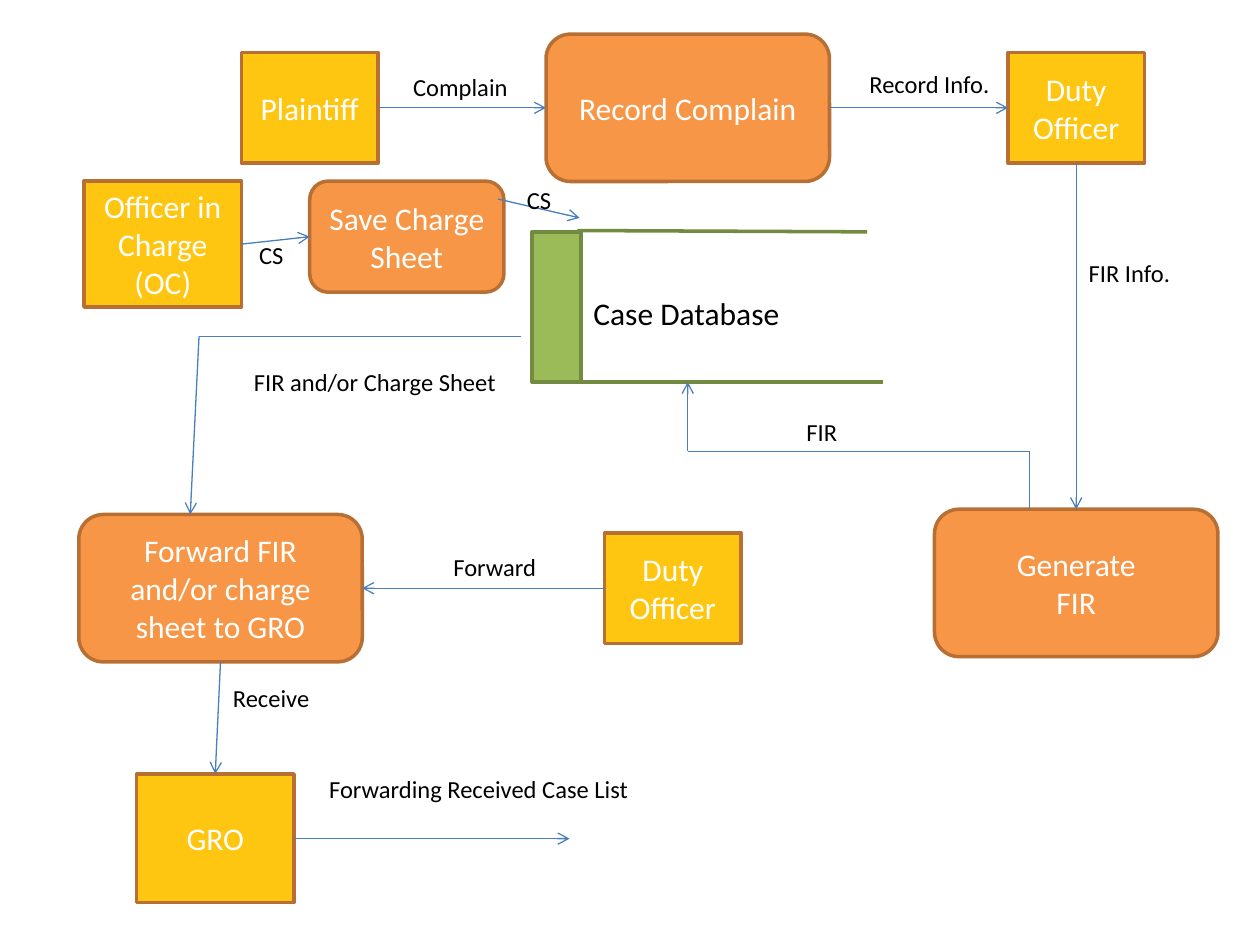
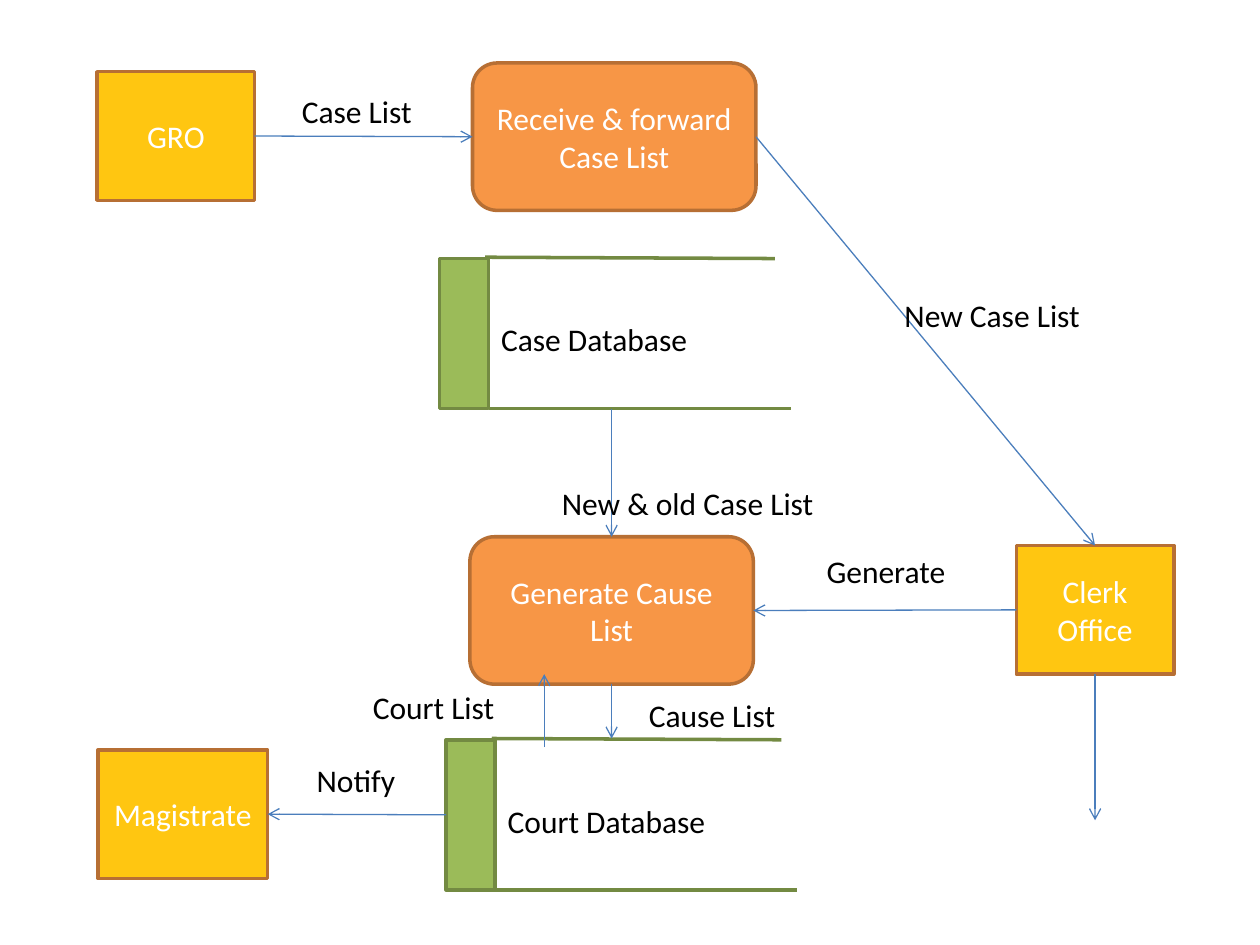
"""Build two data flow diagrams of a criminal case, from complaint to court."""
from dataclasses import dataclass
from enum import IntEnum
from itertools import pairwise

from lxml.etree import SubElement
from pptx import Presentation
from pptx.dml.color import RGBColor
from pptx.enum.shapes import MSO_CONNECTOR, MSO_SHAPE
from pptx.enum.text import MSO_ANCHOR, MSO_AUTO_SIZE, PP_ALIGN
from pptx.oxml.ns import qn
from pptx.util import Pt


@dataclass(frozen=True)
class Theme:
    """Colours, type sizes and line widths of the diagrams."""
    font: str = "Calibri"
    body_size: float = 18
    small_size: float = 14
    text: str = "000000"
    box_text: str = "FFFFFF"
    entity: str = "FFC611"
    process: str = "F79646"
    box_line: str = "B76F34"
    store: str = "9BBB59"
    store_line: str = "738A42"
    flow: str = "4B7EBC"
    heavy: float = 2
    thin: float = 0.75


class Side(IntEnum):
    """Connection sites of rectangles and rounded rectangles."""
    TOP = 0
    LEFT = 1
    BOTTOM = 2
    RIGHT = 3


THEME = Theme()
PROCESS_SIZE = (162, 84.25)
OFFICER_SIZE = (78, 63.25)
OFFICE_SIZE = (90, 73.5)


def write(frame, text, size, color, alignment):
    """Write each line of the text as a paragraph with one run."""
    for number, line in enumerate(text.split("\n")):
        paragraph = frame.add_paragraph() if number else frame.paragraphs[0]
        paragraph.alignment = alignment
        run = paragraph.add_run()
        run.text = line
        run.font.name = THEME.font
        run.font.size = Pt(size)
        run.font.color.rgb = RGBColor.from_string(color)


def add_block(shapes, kind, position, size, fill, outline):
    """Add a filled and outlined preset shape."""
    shape = shapes.add_shape(kind, *map(Pt, (*position, *size)))
    shape.shadow.inherit = False
    shape.fill.solid()
    shape.fill.fore_color.rgb = RGBColor.from_string(fill)
    shape.line.color.rgb = RGBColor.from_string(outline)
    shape.line.width = Pt(THEME.heavy)
    return shape


def add_box(slide, kind, text, position, size, fill):
    """Add a block with centred white text."""
    shape = add_block(slide.shapes, kind, position, size, fill, THEME.box_line)
    shape.text_frame.word_wrap = True
    shape.text_frame.vertical_anchor = MSO_ANCHOR.MIDDLE
    write(shape.text_frame, text, THEME.body_size, THEME.box_text, PP_ALIGN.CENTER)
    return shape


def add_entity(slide, text, position, size=OFFICE_SIZE):
    """Add the yellow rectangle of a person or an office."""
    return add_box(slide, MSO_SHAPE.RECTANGLE, text, position, size, THEME.entity)


def add_process(slide, text, position, size=PROCESS_SIZE):
    """Add the orange rounded rectangle of a process."""
    return add_box(slide, MSO_SHAPE.ROUNDED_RECTANGLE, text, position, size, THEME.process)


def add_line(shapes, start, end, color, width, arrow=False):
    """Add a straight line, with an open arrowhead at its end if asked."""
    line = shapes.add_connector(MSO_CONNECTOR.STRAIGHT, *map(Pt, (*start, *end)))
    line.line.color.rgb = RGBColor.from_string(color)
    line.line.width = Pt(width)
    properties = line._element.spPr
    if arrow:
        SubElement(properties.find(qn("a:ln")), qn("a:tailEnd"), type="arrow")
    SubElement(properties, qn("a:effectLst"))
    return line


def add_flow(slide, *points):
    """Add an arrow through the points, with the head at the last one."""
    for start, end in pairwise(points):
        add_line(slide.shapes, start, end, THEME.flow, THEME.thin, end == points[-1])


def connect(slide, source, source_side, target, target_side):
    """Add an arrow that is glued to a side of each of two shapes."""
    line = add_line(slide.shapes, (0, 0), (0, 0), THEME.flow, THEME.thin, True)
    line.begin_connect(source, source_side)
    line.end_connect(target, target_side)


def add_text(shapes, text, position, size, type_size, alignment, wrap):
    """Add a text box that grows with its black text."""
    frame = shapes.add_textbox(*map(Pt, (*position, *size))).text_frame
    frame.word_wrap = wrap
    frame.auto_size = MSO_AUTO_SIZE.SHAPE_TO_FIT_TEXT
    write(frame, text, type_size, THEME.text, alignment)


def add_small_label(slide, text, left, top, width):
    """Add a small flow label that starts at the left."""
    add_text(slide.shapes, text, (left, top), (width, 24.25), THEME.small_size,
             PP_ALIGN.LEFT, False)


def add_large_label(slide, text, left, top, width):
    """Add a large centred flow label."""
    add_text(slide.shapes, text, (left, top), (width, 29), THEME.body_size,
             PP_ALIGN.CENTER, False)


def add_database(slide, text, left, top):
    """Add a data store as a group and return its green block."""
    shapes = slide.shapes.add_group_shape().shapes
    width, height = 28, 85.75
    bottom = top + height
    block = add_block(shapes, MSO_SHAPE.RECTANGLE, (left, top), (width, height),
                      THEME.store, THEME.store_line)
    add_line(shapes, (left + 26, top - 0.75), (left + 191.5, top),
             THEME.store_line, THEME.heavy)
    add_line(shapes, (left + width, bottom), (left + 200.5, bottom),
             THEME.store_line, THEME.heavy)
    add_text(shapes, text, (left + width, top + 31.75), (173, 29), THEME.body_size,
             PP_ALIGN.LEFT, True)
    return block


def build_complaint_slide(slide):
    """Draw the flow from the complaint to the received case list."""
    record = add_process(slide, "Record Complain", (312, 19.5))
    plaintiff = add_entity(slide, "Plaintiff", (138, 30), OFFICER_SIZE)
    duty_officer = add_entity(slide, "Duty Officer", (576, 30), OFFICER_SIZE)
    generate = add_process(slide, "Generate\nFIR", (534, 291))
    officer_in_charge = add_entity(slide, "Officer in Charge (OC)", (48, 103.5), (90, 72))
    save = add_process(slide, "Save Charge Sheet", (177, 103.5), (111, 63.5))
    forward = add_process(slide, "Forward FIR and/or charge sheet to GRO", (45, 294))
    forwarding_officer = add_entity(slide, "Duty Officer", (345.5, 304.5), OFFICER_SIZE)
    gro = add_entity(slide, "GRO", (78, 442.25))
    add_database(slide, "Case Database", 304, 132.5)

    connect(slide, plaintiff, Side.RIGHT, record, Side.LEFT)
    connect(slide, record, Side.RIGHT, duty_officer, Side.LEFT)
    connect(slide, duty_officer, Side.BOTTOM, generate, Side.TOP)
    connect(slide, officer_in_charge, Side.RIGHT, save, Side.LEFT)
    connect(slide, forwarding_officer, Side.LEFT, forward, Side.RIGHT)
    connect(slide, forward, Side.BOTTOM, gro, Side.TOP)
    add_flow(slide, (284.5, 113.75), (331.25, 124.5))
    add_flow(slide, (588.25, 291), (588.25, 258), (393, 258), (393, 218.25))
    add_flow(slide, (298, 192.25), (113.75, 192.25), (108.75, 294))
    add_flow(slide, (168, 479.25), (325.5, 479.25))

    for label in (
        ("Complain", 229, 37.5, 69),
        ("Record Info.", 489.75, 36, 83.5),
        ("FIR Info.", 615, 144, 61.25),
        ("CS", 141, 133.5, 28.75),
        ("CS", 294, 102, 28.75),
        ("FIR", 453.75, 234.75, 32.5),
        ("FIR and/or Charge Sheet", 138, 206, 154),
        ("Forward", 252, 312, 62),
        ("Receive", 126, 386.75, 59),
        ("Forwarding Received Case List", 181, 438.75, 187),
    ):
        add_small_label(slide, *label)


def build_court_slide(slide):
    """Draw the flow from the case list to the magistrate."""
    gro = add_entity(slide, "GRO", (55.5, 41))
    case_top, court_top = 147.75, 422.75
    add_database(slide, "Case Database", 251.25, case_top)
    magistrate = add_entity(slide, "Magistrate", (56, 428.5), (97, 73.5))
    clerk = add_entity(slide, "Clerk Office", (580.75, 311.75))
    receive = add_process(slide, "Receive & forward Case List", (270, 36))
    generate = add_process(slide, "Generate Cause List", (268.5, 306.75))
    court_database = add_database(slide, "Court Database", 255, court_top)

    connect(slide, gro, Side.RIGHT, receive, Side.LEFT)
    connect(slide, receive, Side.RIGHT, clerk, Side.TOP)
    connect(slide, clerk, Side.LEFT, generate, Side.RIGHT)
    connect(slide, court_database, Side.LEFT, magistrate, Side.RIGHT)
    add_flow(slide, (349.5, case_top + 85.75), (349.5, 306.75))
    add_flow(slide, (349.5, 391), (349.5, court_top - 0.75))
    add_flow(slide, (311, 427), (311, 385.25))
    add_flow(slide, (625.75, 385.25), (625.75, 468.75))

    for label in (
        ("Case List", 165, 49, 77.75),
        ("New Case List", 509, 165.75, 116),
        ("Generate", 464.5, 312, 83.5),
        ("New & old Case List", 311, 273, 164),
        ("Cause List", 363, 394, 87.75),
        ("Notify", 173.5, 431.25, 59.75),
        ("Court List", 205.25, 389.5, 85),
    ):
        add_large_label(slide, *label)


def main():
    """Build and save the presentation."""
    presentation = Presentation()
    presentation.slide_width, presentation.slide_height = Pt(720), Pt(540)
    blank = presentation.slide_layouts[6]
    for build in (build_complaint_slide, build_court_slide):
        build(presentation.slides.add_slide(blank))
    presentation.save("out.pptx")


if __name__ == "__main__":
    main()
